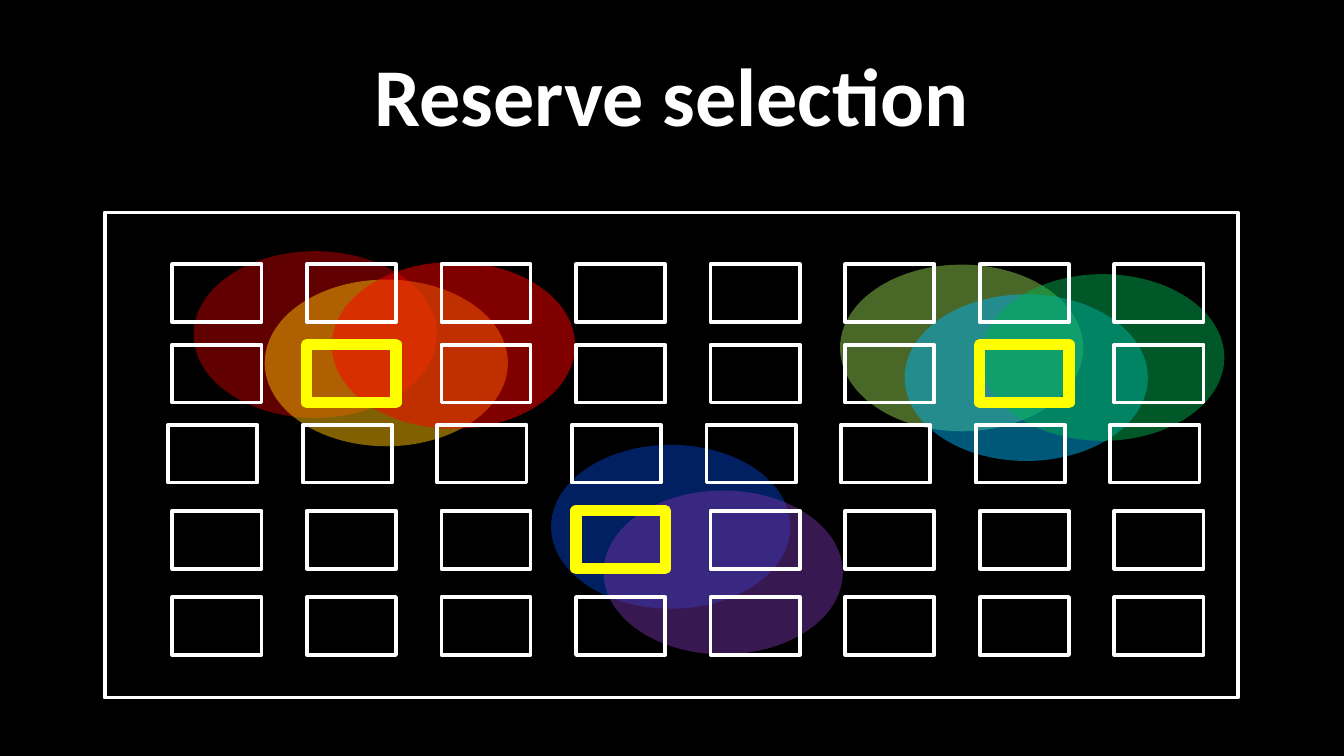
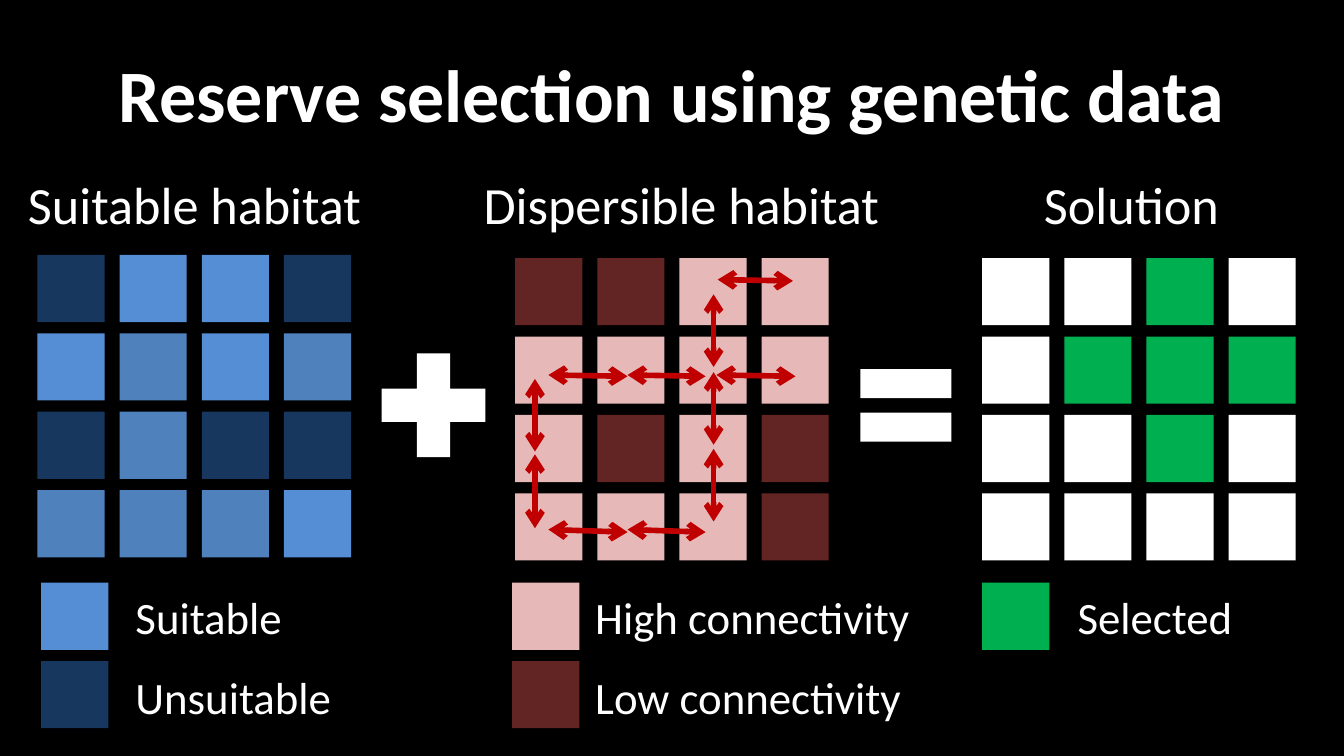
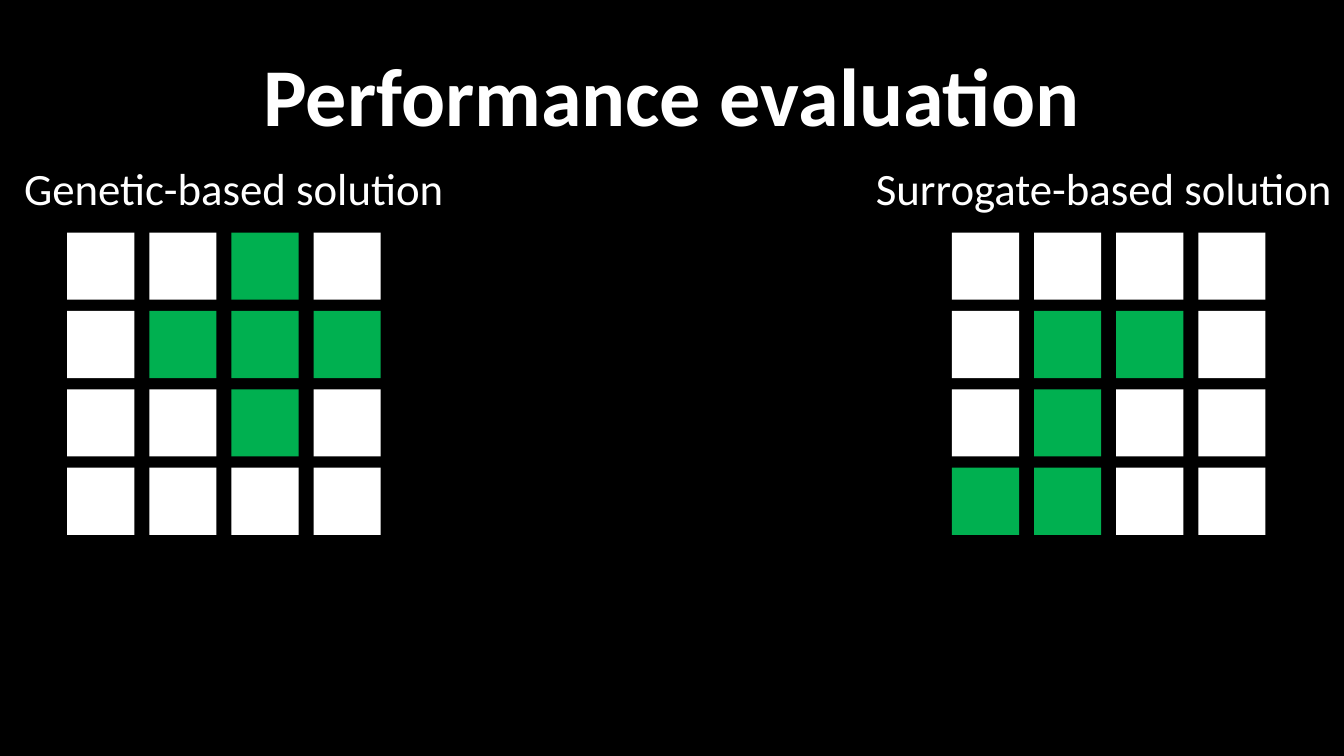
from dataclasses import dataclass
from typing import NamedTuple, Union

from lxml import etree
from pptx import Presentation
from pptx.dml.color import RGBColor
from pptx.enum import shapes, text
from pptx.oxml import ns
from pptx.shapes import autoshape, shapetree
from pptx.slide import Slide, SlideLayout
from pptx.util import Pt

Canvas = Union[shapetree.SlideShapes, shapetree.GroupShapes]
Kind = shapes.MSO_SHAPE


@dataclass(frozen=True)
class Theme:
    font: str = "Calibri"
    background: str = "000000"
    ink: str = "FFFFFF"
    highlight: str = "FFFF00"
    arrow: str = "C00000"
    suitable: str = "558ED5"
    moderate: str = "4F81BD"
    unsuitable: str = "17375E"
    high: str = "E6B9B8"
    low: str = "632523"
    selected: str = "00B050"
    title_size: float = 44
    long_title_size: float = 39.6
    heading_size: float = 28
    label_size: float = 24
    outline: float = 2
    thick_outline: float = 6
    arrow_width: float = 3


THEME = Theme()


class Area(NamedTuple):
    left: float
    top: float
    width: float
    height: float


class Range(NamedTuple):
    left: float
    top: float
    color: str


class Arrow(NamedTuple):
    x1: float
    y1: float
    x2: float
    y2: float


class Label(NamedTuple):
    wording: str
    left: float
    top: float
    width: float
    size: float


class Entry(NamedTuple):
    wording: str
    color: str
    width: float


class Legend(NamedTuple):
    left: float
    label_left: float
    entries: tuple[Entry, ...]


class Grid(NamedTuple):
    left: float
    top: float
    rows: tuple[str, ...]


CELL = 36
COLUMN_STEP = 44
ROW_STEP = 42
LEGEND_TOP = 312.2
LABEL_STEP = 43.2

CELL_COLORS = {
    "S": THEME.suitable,
    "M": THEME.moderate,
    "U": THEME.unsuitable,
    "H": THEME.high,
    "L": THEME.low,
    "X": THEME.selected,
    ".": THEME.ink,
}
GENETIC_SOLUTION = ("..X.", ".XXX", "..X.", "....")
SURROGATE_SOLUTION = ("....", ".XX.", ".X..", "XX..")

SITE_FRAME = Area(56.2, 113.8, 607, 259.9)
SITE_LEFT = 92.3
SITE_STEP = 72.1
SITE_COLUMNS = 8
SITE_ROWS = ((141.6, 0), (184.7, 0), (227.6, -2.2), (273.7, 0), (319.9, 0))
RESERVES = {(1, 1), (1, 6), (3, 3)}

LOWER_SIZE = (128.2, 87.8)
UPPER_SIZE = (130.3, 89.3)
LOWER_RANGES = (Range(295.2, 238.3, "0041C4"), Range(323.3, 262.8, "7030A0"))
UPPER_RANGES = (
    Range(103.7, 134.6, "C00000"),
    Range(141.8, 149.8, "FFC000"),
    Range(177.8, 140.4, "FF0000"),
    Range(450, 141.8, "92D050"),
    Range(484.6, 157.7, "00B0F0"),
    Range(525.6, 146.9, "00B050"),
)

HABITAT_GRIDS = (
    Grid(20.1, 136.6, ("USSU", "SMSM", "UMUU", "MMMS")),
    Grid(276, 138.3, ("LLHH", "HHHH", "HLHL", "HHHL")),
    Grid(526.2, 138.3, GENETIC_SOLUTION),
)
HABITAT_HEADINGS = (
    Label("Suitable habitat", 7.9, 88.6, 195.1, THEME.heading_size),
    Label("Dispersible habitat", 252, 88.6, 229, THEME.heading_size),
    Label("Solution", 552.2, 88.6, 109.4, THEME.heading_size),
)
HABITAT_ARROWS = (
    Arrow(293.8, 283.7, 336.2, 285.1),
    Arrow(336.2, 283.7, 378, 285.1),
    Arrow(293.8, 200.9, 336.2, 201.6),
    Arrow(336.2, 200.9, 378, 201.6),
    Arrow(383.8, 200.9, 426.2, 201.6),
    Arrow(382.3, 279.4, 382.3, 240.5),
    Arrow(382.3, 238.3, 382.3, 199.4),
    Arrow(382.3, 196.6, 382.3, 157.7),
    Arrow(286.6, 283, 286.6, 243.4),
    Arrow(286.6, 241.9, 286.6, 203),
    Arrow(424.8, 150.5, 384.5, 149.8),
)
HABITAT_LEGENDS = (
    Legend(22.1, 65.5, (
        Entry("Suitable", THEME.suitable, 93.6),
        Entry("Unsuitable", THEME.unsuitable, 120.2),
    )),
    Legend(274.4, 311.8, (
        Entry("High connectivity", THEME.high, 184.3),
        Entry("Low connectivity", THEME.low, 180),
    )),
    Legend(526.2, 570.2, (Entry("Selected", THEME.selected, 98.6),)),
)

EVALUATION_GRIDS = (
    Grid(36, 124.6, GENETIC_SOLUTION),
    Grid(510, 124.6, SURROGATE_SOLUTION),
)
EVALUATION_HEADINGS = (
    Label("Genetic-based solution", 5.8, 82.8, 241.9, THEME.label_size),
    Label("Surrogate-based solution", 462.2, 82.8, 261.4, THEME.label_size),
)


def style_font(para, size: float, bold: bool = False) -> None:
    para.font.name = THEME.font
    para.font.size = Pt(size)
    para.font.bold = bold
    para.font.color.rgb = RGBColor.from_string(THEME.ink)


def add_page(deck, layout: SlideLayout, wording: str,
             size: float = THEME.title_size) -> Slide:
    page = deck.slides.add_slide(layout)
    title = page.shapes.title
    title.left, title.top, title.width, title.height = Pt(36), Pt(16.2), Pt(648), Pt(67.5)
    frame = title.text_frame
    frame.text = wording
    frame.auto_size = text.MSO_AUTO_SIZE.NONE
    frame.vertical_anchor = text.MSO_ANCHOR.MIDDLE
    para = frame.paragraphs[0]
    para.alignment = text.PP_ALIGN.CENTER
    style_font(para, size, bold=True)
    return page


def add_block(canvas: Canvas, kind: Kind, area: Area) -> autoshape.Shape:
    block = canvas.add_shape(kind, *(Pt(length) for length in area))
    block.shadow.inherit = False
    return block


def add_filled(canvas: Canvas, kind: Kind, area: Area, color: str) -> autoshape.Shape:
    block = add_block(canvas, kind, area)
    block.fill.solid()
    block.fill.fore_color.rgb = RGBColor.from_string(color)
    block.line.fill.background()
    return block


def add_outlined(canvas: Canvas, area: Area, color: str, width: float) -> None:
    block = add_block(canvas, Kind.RECTANGLE, area)
    block.fill.background()
    block.line.color.rgb = RGBColor.from_string(color)
    block.line.width = Pt(width)


def add_range(canvas: Canvas, patch: Range, size: tuple[float, float]) -> None:
    ellipse = add_filled(canvas, Kind.OVAL, Area(patch.left, patch.top, *size), patch.color)
    color = ellipse.fill._xPr.find(".//" + ns.qn("a:srgbClr"))
    etree.SubElement(color, ns.qn("a:alpha"), val="50000")


def add_label(canvas: Canvas, label: Label) -> None:
    box = canvas.add_textbox(Pt(label.left), Pt(label.top), Pt(label.width),
                             Pt(label.size * 1.2 + 7.2))
    frame = box.text_frame
    frame.text = label.wording
    frame.word_wrap = False
    frame.auto_size = text.MSO_AUTO_SIZE.SHAPE_TO_FIT_TEXT
    style_font(frame.paragraphs[0], label.size)


def add_grid(page: Slide, grid: Grid) -> None:
    group = page.shapes.add_group_shape()
    for row, codes in enumerate(grid.rows):
        for column, code in enumerate(codes):
            area = Area(grid.left + column * COLUMN_STEP, grid.top + row * ROW_STEP, CELL, CELL)
            add_filled(group.shapes, Kind.RECTANGLE, area, CELL_COLORS[code])


def add_legend(page: Slide, legend: Legend) -> None:
    group = page.shapes.add_group_shape()
    for row, entry in enumerate(legend.entries):
        swatch = Area(legend.left, LEGEND_TOP + row * ROW_STEP, CELL, CELL)
        add_filled(group.shapes, Kind.RECTANGLE, swatch, entry.color)
        add_label(group.shapes, Label(entry.wording, legend.label_left,
                                      LEGEND_TOP + row * LABEL_STEP,
                                      entry.width, THEME.label_size))


def add_arrow(page: Slide, arrow: Arrow) -> None:
    line = page.shapes.add_connector(shapes.MSO_CONNECTOR.STRAIGHT,
                                     *(Pt(length) for length in arrow))
    line.line.color.rgb = RGBColor.from_string(THEME.arrow)
    line.line.width = Pt(THEME.arrow_width)
    properties = line._element.spPr
    outline = properties.find(ns.qn("a:ln"))
    for end in ("a:headEnd", "a:tailEnd"):
        etree.SubElement(outline, ns.qn(end), type="arrow")
    etree.SubElement(properties, ns.qn("a:effectLst"))


def build_selection(deck, layout: SlideLayout) -> None:
    page = add_page(deck, layout, "Reserve selection")
    add_outlined(page.shapes, SITE_FRAME, THEME.ink, THEME.outline)
    for patches, size in ((LOWER_RANGES, LOWER_SIZE), (UPPER_RANGES, UPPER_SIZE)):
        for patch in patches:
            add_range(page.shapes, patch, size)
    for row, (top, shift) in enumerate(SITE_ROWS):
        for column in range(SITE_COLUMNS):
            area = Area(SITE_LEFT + shift + column * SITE_STEP, top, 47.8, 31)
            if (row, column) in RESERVES:
                add_outlined(page.shapes, area, THEME.highlight, THEME.thick_outline)
            else:
                add_outlined(page.shapes, area, THEME.ink, THEME.outline)


def build_genetic_data(deck, layout: SlideLayout) -> None:
    page = add_page(deck, layout, "Reserve selection using genetic data",
                    THEME.long_title_size)
    for grid in HABITAT_GRIDS:
        add_grid(page, grid)
    add_filled(page.shapes, Kind.MATH_PLUS, Area(194.4, 179.3, 75.6, 75.6), THEME.ink)
    add_filled(page.shapes, Kind.MATH_EQUAL, Area(452.2, 184.1, 66.2, 66.2), THEME.ink)
    for arrow in HABITAT_ARROWS:
        add_arrow(page, arrow)
    for heading in HABITAT_HEADINGS:
        add_label(page.shapes, heading)
    for legend in HABITAT_LEGENDS:
        add_legend(page, legend)


def build_evaluation(deck, layout: SlideLayout) -> None:
    page = add_page(deck, layout, "Performance evaluation")
    for grid in EVALUATION_GRIDS:
        add_grid(page, grid)
    for heading in EVALUATION_HEADINGS:
        add_label(page.shapes, heading)


def main() -> None:
    deck = Presentation()
    deck.slide_width, deck.slide_height = Pt(720), Pt(405)
    backdrop = deck.slide_master.background.fill
    backdrop.solid()
    backdrop.fore_color.rgb = RGBColor.from_string(THEME.background)
    layout = deck.slide_layouts.get_by_name("Title Only")
    for build in (build_selection, build_genetic_data, build_evaluation):
        build(deck, layout)
    deck.save("out.pptx")


if __name__ == "__main__":
    main()
